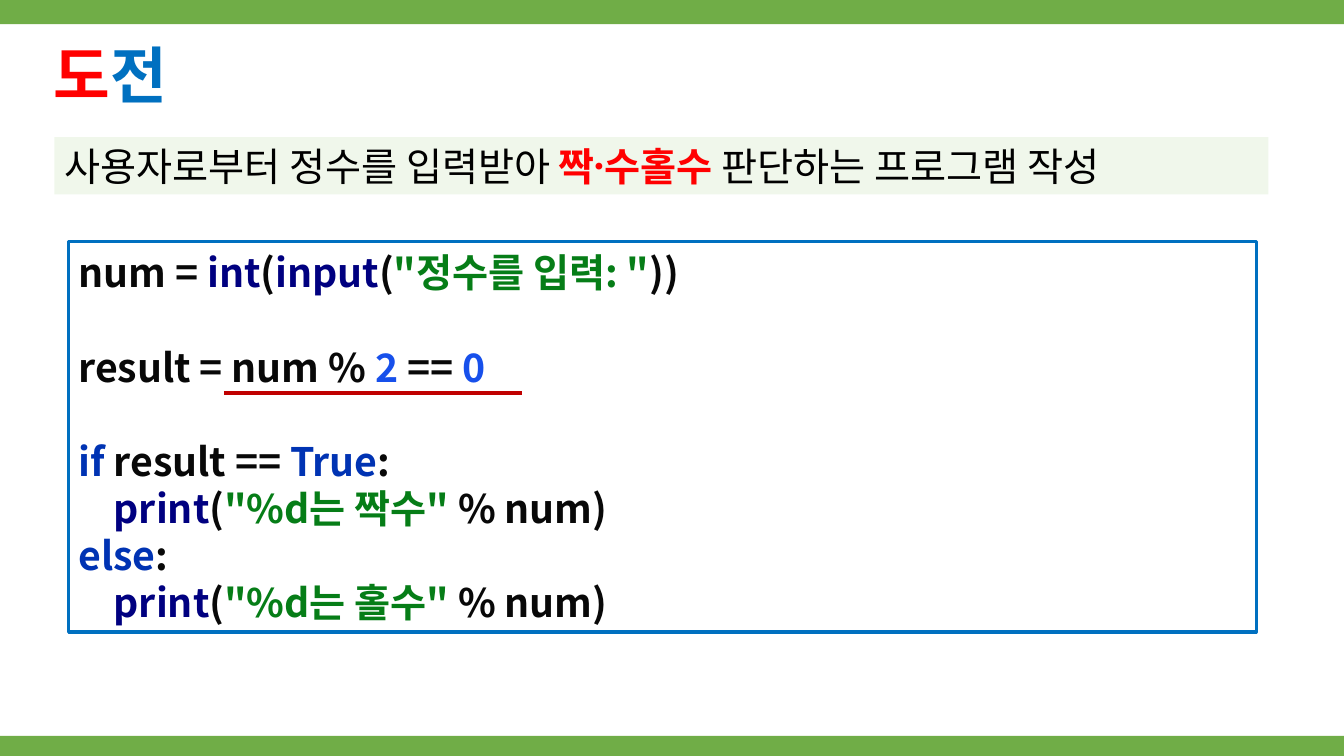
from lxml.etree import SubElement
from pptx import Presentation
from pptx.dml.color import RGBColor
from pptx.enum.shapes import MSO_CONNECTOR, MSO_SHAPE
from pptx.enum.text import MSO_ANCHOR
from pptx.oxml.ns import qn
from pptx.util import Inches, Pt

FONT = "Noto Sans CJK KR"
SIZE = 28
LINE = Pt(SIZE * 1.2)
COLORS = {
    "bar": "70AD47", "band": "E2F0D9", "frame": "0070C0", "mark": "C00000",
    "black": "000000", "red": "FF0000", "blue": "0070C0",
    "plain": "080808", "builtin": "000080", "string": "067D17",
    "number": "1750EB", "keyword": "0033B3",
}

TITLE = [("도", "red"), ("전", "blue")]
TASK = [("사용자로부터 정수를 입력받아 ", "black"), ("짝수〮홀수", "red"),
        (" 판단하는 프로그램 작성", "black")]
# (indent level, blank line before, coloured pieces)
CODE = [
    (0, False, [("num = ", "plain"), ("int", "builtin"), ("(", "plain"),
                ("input", "builtin"), ("(", "plain"),
                ('"정수를 입력: "', "string"), ("))", "plain")]),
    (0, True, [("result = num % ", "plain"), ("2 ", "number"),
               ("== ", "plain"), ("0", "number")]),
    (0, True, [("if ", "keyword"), ("result == ", "plain"),
               ("True", "keyword"), (":", "plain")]),
    (1, False, [("print", "builtin"), ("(", "plain"),
                ('"%d는 짝수" ', "string"), ("% num)", "plain")]),
    (0, False, [("else", "keyword"), (":", "plain")]),
    (1, False, [("print", "builtin"), ("(", "plain"),
                ('"%d는 홀수" ', "string"), ("% num)", "plain")]),
]


def rgb(name):
    return RGBColor.from_string(COLORS[name])


def place(shape, *box):
    shape.left, shape.top, shape.width, shape.height = map(Inches, box)


def add_rect(s, box, fill=None, line=None):
    sp = s.shapes.add_shape(MSO_SHAPE.RECTANGLE, *map(Inches, box))
    sp.shadow.inherit = False
    if fill:
        sp.fill.solid()
        sp.fill.fore_color.rgb = rgb(fill)
    else:
        sp.fill.background()
    if line:
        sp.line.color.rgb = rgb(line)
        sp.line.width = Pt(2.25)
    else:
        sp.line.fill.background()
    return sp


def add_runs(p, pieces, size=SIZE, bold=()):
    """Write (text, colour) pieces; those with a colour in bold are bold."""
    for text, color in pieces:
        r = p.add_run()
        r.text = text
        r.font.size = Pt(size)
        r.font.name = FONT
        r.font.bold = color in bold
        r.font.color.rgb = rgb(color)
        SubElement(r.font._element, qn("a:ea")).set("typeface", FONT)


def set_frame(sp, anchor):
    tf = sp.text_frame
    tf.word_wrap = True
    tf.vertical_anchor = anchor
    return tf


def left_align(p, indent=0):
    pPr = p._p.get_or_add_pPr()
    pPr.set("algn", "l")
    pPr.set("marL", str(indent))
    pPr.set("indent", "0")


def main():
    prs = Presentation()
    prs.slide_width, prs.slide_height = Inches(13.33), Inches(7.5)
    s = prs.slides.add_slide(prs.slide_layouts[5])

    for top, height in ((0, 0.24), (7.3, 0.2)):
        add_rect(s, (0, top, 13.33, height), "bar")

    title = s.shapes.title
    place(title, 0.43, 0.4, 12.47, 1.04)
    p = set_frame(title, MSO_ANCHOR.TOP).paragraphs[0]
    left_align(p)
    p.line_spacing = 0.9
    add_runs(p, TITLE, 44, COLORS)

    band = add_rect(s, (0.54, 1.36, 12.04, 0.57), "band")
    color = band.fill._xPr.find(qn("a:solidFill"))[0]
    SubElement(color, qn("a:alpha")).set("val", "50000")
    p = set_frame(band, MSO_ANCHOR.MIDDLE).paragraphs[0]
    left_align(p)
    p.line_spacing = LINE
    add_runs(p, TASK, bold=("red",))

    frame = add_rect(s, (0.68, 2.4, 11.78, 3.87), line="frame")
    tf = set_frame(frame, MSO_ANCHOR.MIDDLE)
    for i, (level, gap, pieces) in enumerate(CODE):
        p = tf.paragraphs[0] if i == 0 else tf.add_paragraph()
        left_align(p, level * Inches(0.35))
        p.line_spacing = LINE
        p.space_before = LINE if gap else Pt(0)
        add_runs(p, pieces, bold=COLORS)

    mark = s.shapes.add_connector(
        MSO_CONNECTOR.STRAIGHT, *map(Inches, (2.22, 3.9, 5.18, 3.9)))
    mark.line.color.rgb = rgb("mark")
    mark.line.width = Pt(3)
    SubElement(mark._element.spPr, qn("a:effectLst"))

    prs.save("out.pptx")


if __name__ == "__main__":
    main()
